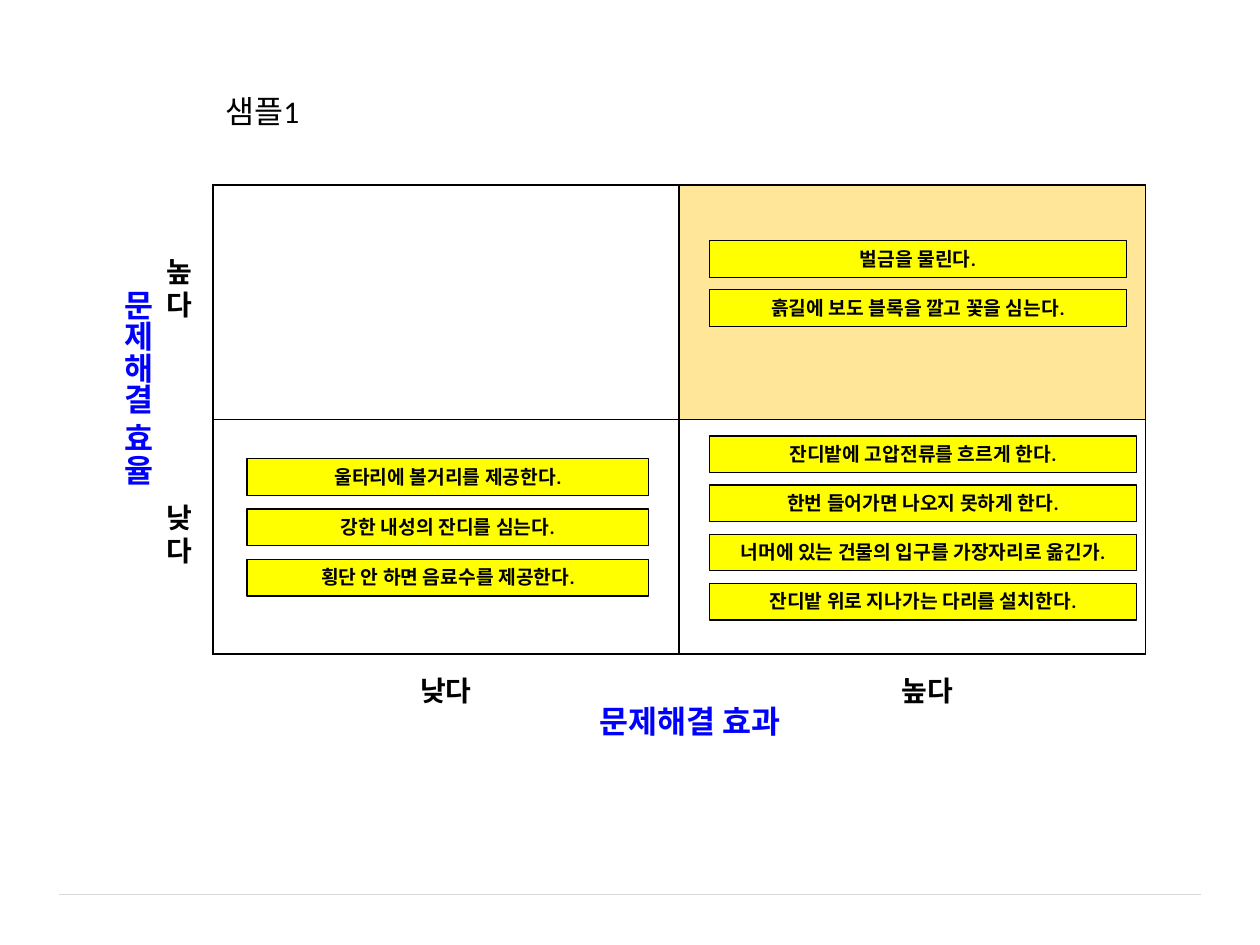
from lxml.etree import SubElement
from pptx import Presentation
from pptx.dml.color import RGBColor
from pptx.enum.shapes import MSO_CONNECTOR, MSO_SHAPE
from pptx.enum.text import MSO_ANCHOR, MSO_AUTO_SIZE, PP_ALIGN
from pptx.oxml.ns import qn
from pptx.util import Inches, Pt

BLACK = RGBColor(0x00, 0x00, 0x00)
WHITE = RGBColor(0xFF, 0xFF, 0xFF)
BLUE = RGBColor(0x00, 0x00, 0xFF)
YELLOW = RGBColor(0xFF, 0xFF, 0x00)
AMBER = RGBColor(0xFF, 0xE6, 0x99)
GREY = RGBColor(0xD9, 0xD9, 0xD9)
FONT = "Calibri"

CARD_HEIGHT = 0.29
# left, top, width, pitch, ideas
CARD_STACKS = [
    (5.63, 1.91, 3.31, 0.39, ["벌금을 물린다.", "흙길에 보도 블록을 깔고 꽃을 심는다."]),
    (1.96, 3.64, 3.19, 0.4, [
        "울타리에 볼거리를 제공한다.",
        "강한 내성의 잔디를 심는다.",
        "횡단 안 하면 음료수를 제공한다.",
    ]),
    (5.63, 3.46, 3.39, 0.39, [
        "잔디밭에 고압전류를 흐르게 한다.",
        "한번 들어가면 나오지 못하게 한다.",
        "너머에 있는 건물의 입구를 가장자리로 옮긴가.",
        "잔디밭 위로 지나가는 다리를 설치한다.",
    ]),
]


def write_text(shape, text, size, color=BLACK, bold=True, align=PP_ALIGN.CENTER):
    frame = shape.text_frame
    frame.word_wrap = True
    frame.auto_size = MSO_AUTO_SIZE.SHAPE_TO_FIT_TEXT
    paragraph = frame.paragraphs[0]
    paragraph.alignment = align
    run = paragraph.add_run()
    run.text = text
    run.font.name = FONT
    run.font.size = Pt(size)
    run.font.bold = bold
    run.font.color.rgb = color


def add_label(slide, box, text, size, vertical=False, **style):
    shape = slide.shapes.add_textbox(*map(Inches, box))
    write_text(shape, text, size, **style)
    if vertical:
        shape.text_frame._txBody.bodyPr.set("vert", "eaVert")


def add_footer_rule(slide, left, right, top):
    rule = slide.shapes.add_connector(
        MSO_CONNECTOR.STRAIGHT, Inches(left), Inches(top), Inches(right), Inches(top))
    rule.line.color.rgb = GREY
    rule.line.width = Pt(0.5)
    SubElement(rule._element.spPr, qn("a:effectLst"))


def add_cell_borders(cell):
    properties = cell._tc.get_or_add_tcPr()
    for side in ("a:lnL", "a:lnR", "a:lnT", "a:lnB"):
        border = SubElement(properties, qn(side), w=str(Pt(1)))
        fill = SubElement(border, qn("a:solidFill"))
        SubElement(fill, qn("a:srgbClr"), val=str(BLACK))


def add_matrix(slide, left, top, width, height):
    """Draw the two-by-two grid with its best quadrant, top right, highlighted."""
    table = slide.shapes.add_table(
        2, 2, Inches(left), Inches(top), Inches(width), Inches(height)).table
    table.first_row = False
    table.horz_banding = False
    for row in range(2):
        for column in range(2):
            cell = table.cell(row, column)
            add_cell_borders(cell)
            cell.fill.solid()
            cell.fill.fore_color.rgb = AMBER if (row, column) == (0, 1) else WHITE


def add_axis_labels(slide):
    add_label(slide, (4.53, 5.52, 1.89, 0.4), "문제해결 효과", 18, color=BLUE)
    add_label(slide, (0.79, 2.2, 0.5, 1.98), "문제해결 효율", 18, vertical=True, color=BLUE)
    for top, text in ((1.97, "높다"), (3.92, "낮다")):
        add_label(slide, (1.22, top, 0.47, 0.64), text, 16, align=PP_ALIGN.LEFT)
    for left, text in ((3.07, "낮다"), (6.89, "높다")):
        add_label(slide, (left, 5.3, 0.94, 0.37), text, 16)


def add_card_stack(slide, left, top, width, pitch, ideas):
    for index, idea in enumerate(ideas):
        card = slide.shapes.add_shape(
            MSO_SHAPE.RECTANGLE, Inches(left), Inches(top + index * pitch),
            Inches(width), Inches(CARD_HEIGHT))
        card.shadow.inherit = False
        card.fill.solid()
        card.fill.fore_color.rgb = YELLOW
        card.line.color.rgb = BLACK
        card.line.width = Pt(0.75)
        card.text_frame.vertical_anchor = MSO_ANCHOR.TOP
        write_text(card, idea, 11)


def main():
    presentation = Presentation()
    presentation.slide_width = Inches(10)
    presentation.slide_height = Inches(7.5)
    slide = presentation.slides.add_slide(presentation.slide_layouts[6])
    add_footer_rule(slide, 0.47, 9.53, 7.1)
    add_matrix(slide, 1.69, 1.47, 7.4, 3.72)
    add_axis_labels(slide)
    for stack in CARD_STACKS:
        add_card_stack(slide, *stack)
    add_label(slide, (1.69, 0.68, 2.05, 0.4), "샘플1", 18, bold=False, align=PP_ALIGN.LEFT)
    presentation.save("out.pptx")


if __name__ == "__main__":
    main()
